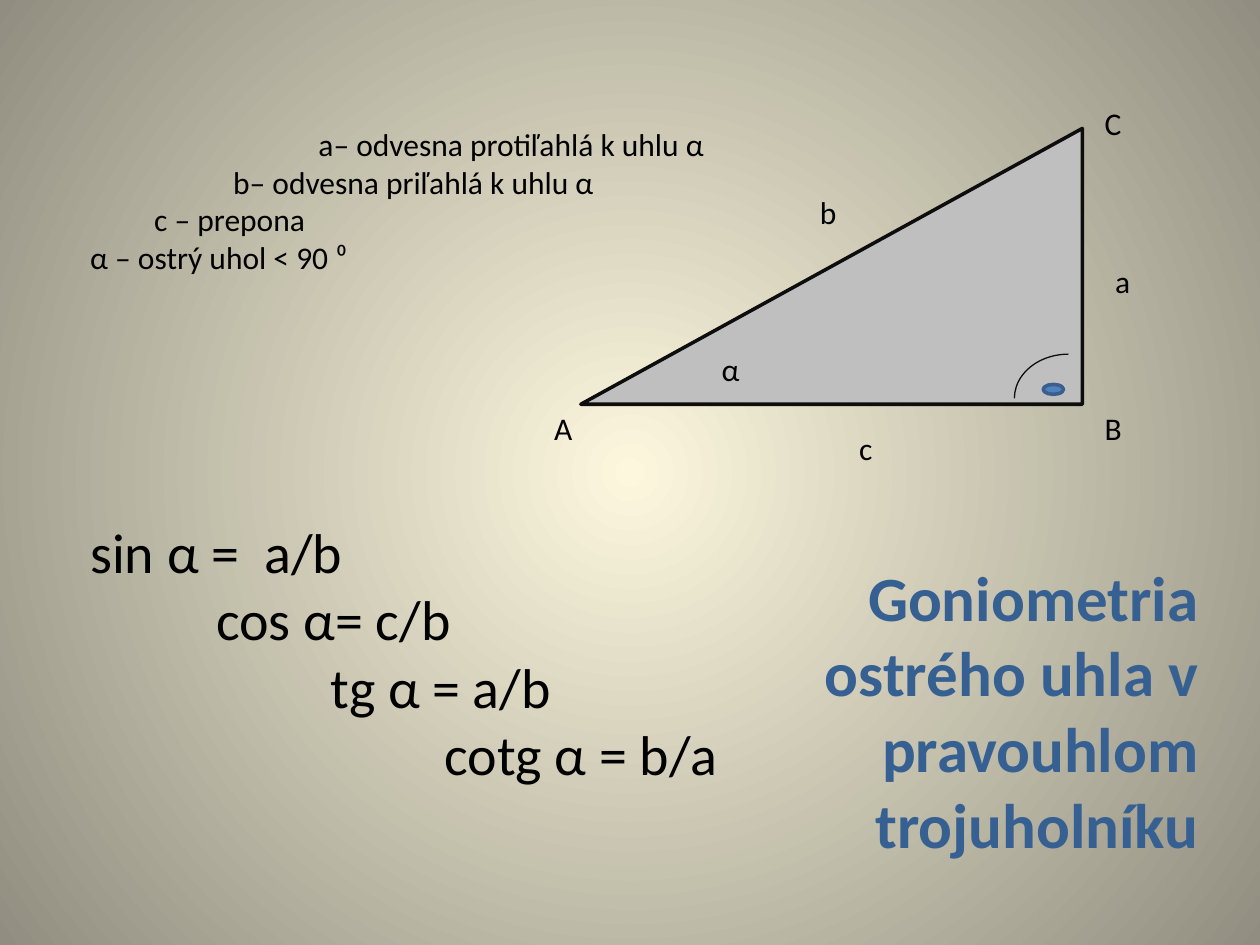
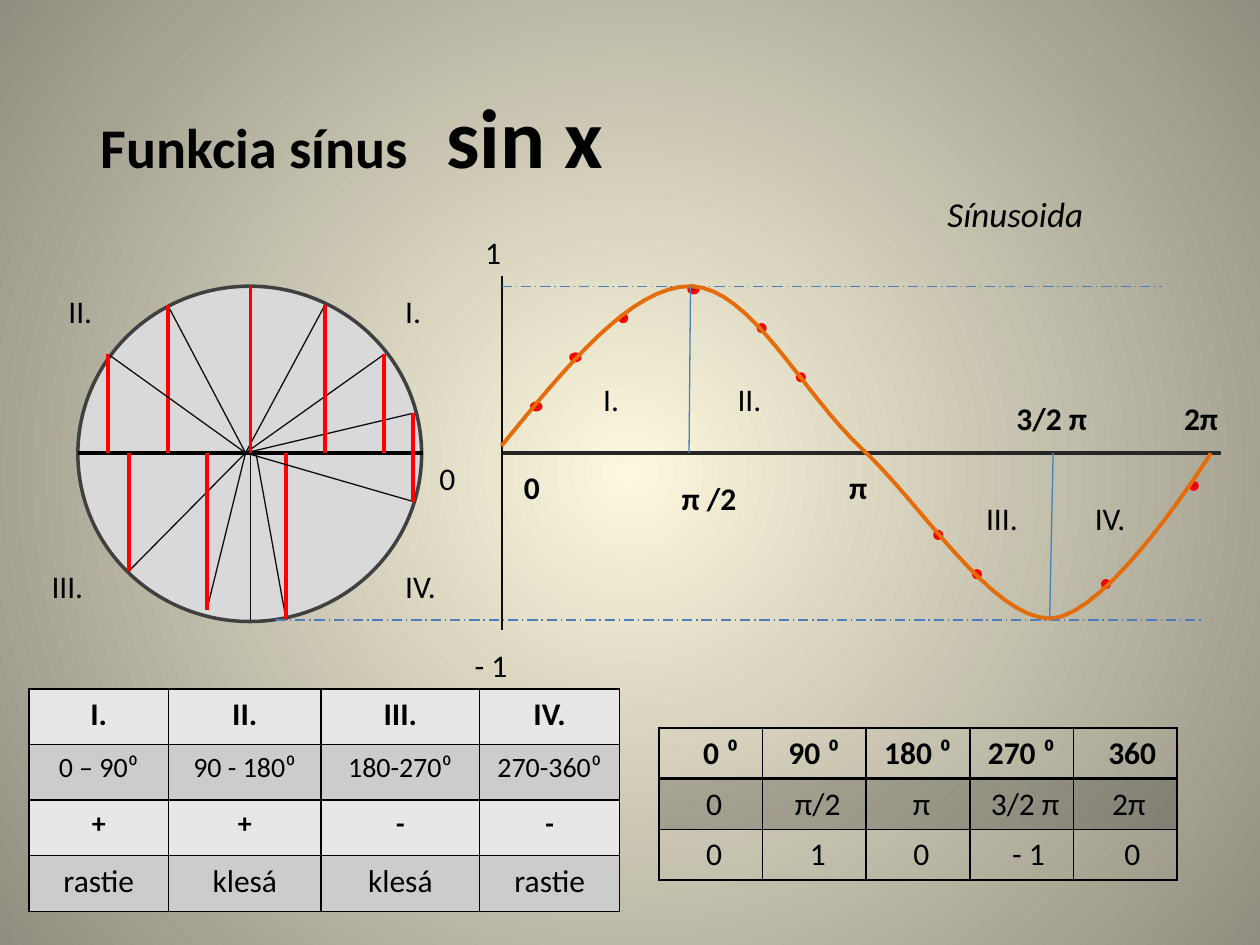
import lxml.etree
import pptx
import pptx.dml.color
import pptx.enum.dml
import pptx.enum.shapes
import pptx.enum.text
import pptx.oxml.ns
import pptx.util

Cm, Pt = pptx.util.Cm, pptx.util.Pt
SHAPE = pptx.enum.shapes.MSO_SHAPE
ALIGN = pptx.enum.text.PP_ALIGN
DASH = pptx.enum.dml.MSO_LINE.LONG_DASH_DOT
COLORS = {
    "black": "000000", "ink": "0D0D0D", "axis": "262626", "rim": "404040",
    "center": "FCF7DD", "edge": "918E81", "heading": "376092",
    "triangle": "BFBFBF", "circle": "D9D9D9", "blue": "4F81BD",
    "blue_rim": "3A5F8C", "guide": "4B7EBC", "red": "FF0000",
    "dot": "C00000", "curve": "E46C0A", "light": "E7E7E7", "dark": "CCCCCC",
}


def rgb(name):
    return pptx.dml.color.RGBColor.from_string(COLORS[name])


def sub(parent, tag, **attrs):
    return lxml.etree.SubElement(parent, pptx.oxml.ns.qn(tag), **attrs)


class Deck:
    font = {"name": "Calibri", "size": Pt(18), "bold": False, "italic": False}

    def __init__(self):
        self.prs = pptx.Presentation()
        self.prs.slide_width, self.prs.slide_height = Cm(25.4), Cm(19.05)
        self.s = None

    def slide(self):
        self.s = self.prs.slides.add_slide(self.prs.slide_layouts[6])
        fill = self.s.background.fill
        fill.gradient()
        for stop, name, position in zip(fill.gradient_stops, ("center", "edge"), (0, 1)):
            stop.color.rgb = rgb(name)
            stop.position = position
        grad = self.s.element.find(".//" + pptx.oxml.ns.qn("a:gradFill"))
        grad.remove(grad.find(pptx.oxml.ns.qn("a:lin")))
        radial = sub(grad, "a:path", path="circle")
        sub(radial, "a:fillToRect", l="50000", t="50000", r="50000", b="50000")

    def add_text(self, p, text, color="black", indent=0, tab=0, **fmt):
        pPr = p._p.get_or_add_pPr()
        if indent:
            pPr.set("marL", str(Cm(indent)))
            pPr.set("indent", "0")
        if tab:
            sub(sub(pPr, "a:tabLst"), "a:tab", pos=str(Cm(tab)), algn="l")
        r = p.add_run()
        r.text = text
        for key, value in {**self.font, **fmt}.items():
            setattr(r.font, key, value)
        r.font.color.rgb = rgb(color)

    def text(self, lines, x, y, w=1.6, h=1.02, align=ALIGN.LEFT, indents=(), **fmt):
        tf = self.s.shapes.add_textbox(Cm(x), Cm(y), Cm(w), Cm(h)).text_frame
        tf.word_wrap = True
        for i, line in enumerate(lines.split("\n")):
            p = tf.add_paragraph() if i else tf.paragraphs[0]
            p.alignment = align
            self.add_text(p, line, indent=indents[i] if indents else 0, **fmt)
        return tf

    def paint(self, sp, fill, line, width):
        sp.shadow.inherit = False
        if fill:
            sp.fill.solid()
            sp.fill.fore_color.rgb = rgb(fill)
        else:
            sp.fill.background()
        sp.line.color.rgb = rgb(line)
        sp.line.width = Pt(width)

    def shape(self, kind, x, y, w, h, fill, line, width=2, flip=False):
        sp = self.s.shapes.add_shape(kind, Cm(x), Cm(y), Cm(w), Cm(h))
        self.paint(sp, fill, line, width)
        if flip:
            sp._element.spPr.xfrm.set("flipH", "1")

    def line(self, x1, y1, x2, y2, color="ink", width=0.75, dash=None):
        c = self.s.shapes.add_connector(
            pptx.enum.shapes.MSO_CONNECTOR.STRAIGHT, Cm(x1), Cm(y1), Cm(x2), Cm(y2))
        c.line.color.rgb = rgb(color)
        c.line.width = Pt(width)
        if dash:
            c.line.dash_style = dash
        sub(c._element.spPr, "a:effectLst")

    def curve(self, start, segments, color, width, steps=16):
        points, p0 = [], start
        for p1, p2, p3 in segments:
            for i in range(1, steps + 1):
                t = i / steps
                u = 1 - t
                points.append(tuple(
                    Cm(u**3 * a + 3 * u * u * t * b + 3 * u * t * t * c + t**3 * d)
                    for a, b, c, d in zip(p0, p1, p2, p3)))
            p0 = p3
        builder = self.s.shapes.build_freeform(Cm(start[0]), Cm(start[1]))
        builder.add_line_segments(points, close=False)
        self.paint(builder.convert_to_shape(), None, color, width)

    def border(self, cell, widths):
        tcPr = cell._tc.get_or_add_tcPr()
        for i, (side, width) in enumerate(zip("LRTB", widths)):
            ln = sub(tcPr, "a:ln" + side, w=str(Pt(width)))
            sub(sub(ln, "a:solidFill"), "a:srgbClr", val=COLORS["black"])
            tcPr.insert(i, ln)

    def table(self, x, y, cols, row_height, rows, fills, formats,
              indents=None, alpha=None, header_line=1):
        tbl = self.s.shapes.add_table(
            len(rows), len(cols), Cm(x), Cm(y), Cm(sum(cols)),
            Cm(row_height * len(rows))).table
        tbl.first_row = tbl.horz_banding = False
        for col, width in zip(tbl.columns, cols):
            col.width = Cm(width)
        for i, values in enumerate(rows):
            tbl.rows[i].height = Cm(row_height)
            for j, value in enumerate(values):
                cell = tbl.cell(i, j)
                if fills[i]:
                    cell.fill.solid()
                    cell.fill.fore_color.rgb = rgb(fills[i])
                    if alpha:
                        clr = cell._tc.tcPr.find(".//" + pptx.oxml.ns.qn("a:srgbClr"))
                        sub(clr, "a:alpha", val=str(alpha * 1000))
                else:
                    cell.fill.background()
                self.border(cell, (1, 1, header_line if i == 1 else 1,
                                   header_line if i == 0 else 1))
                p = cell.text_frame.paragraphs[0]
                p.alignment = ALIGN.CENTER
                self.add_text(p, value, indent=indents[i][j] if indents else 0, **formats[i])


def triangle_slide(d):
    d.slide()
    d.text("Goniometria ostrého uhla v pravouhlom trojuholníku", 15.47, 11.13, 8.94, 6.4,
           ALIGN.RIGHT, color="heading", size=Pt(36), bold=True)
    d.text("sin α =\ta/b\ncos α= c/b\ntg α = a/b\ncotg α = b/a", 1.57, 10.31, 13.69, 5.74,
           indents=(0, 2.54, 4.84, 7.14), tab=3.51, size=Pt(32))
    d.shape(SHAPE.RIGHT_TRIANGLE, 11.71, 2.59, 10.11, 5.56, "triangle", "ink", flip=True)
    d.shape(SHAPE.ARC, 20.45, 7.14, 2.18, 1.78, None, "ink", 0.75, flip=True)
    d.text("a– odvesna protiľahlá k uhlu α\nb– odvesna priľahlá k uhlu α\n"
           "c – prepona\nα – ostrý uhol < 90 ⁰", 1.57, 2.39, 16.28, 3.33,
           indents=(4.6, 2.88, 1.29, 0))
    d.shape(SHAPE.OVAL, 21.03, 7.75, 0.41, 0.2, "blue", "blue_rim")
    for label, x, y in (("α", 14.3, 6.93), ("A", 10.92, 8.13), ("B", 22.02, 8.13),
                        ("C", 22.02, 1.98), ("b", 16.28, 3.76), ("c", 17.07, 8.53),
                        ("a", 22.23, 5.16)):
        d.text(label, x, y)


def sine_slide(d):
    axis, top, bottom = 9.13, 5.77, 12.5
    d.slide()
    tf = d.text("Funkcia sínus\t", 1.78, 1.57, 11.91, 2.31, tab=6.97, size=Pt(32), bold=True)
    d.add_text(tf.paragraphs[0], "sin x", size=Pt(48), bold=True)
    d.shape(SHAPE.OVAL, 1.57, top, 6.93, 6.76, "circle", "rim")
    d.line(10.11, axis, 24.61, axis, "axis", 2.25)
    d.line(1.57, axis, 8.53, axis, "black", 2.25)
    d.line(5.05, top, 5.05, bottom)
    d.line(10.12, 5.56, 10.12, 12.7)
    for x, y, start in ((8.33, 8.33, 4.95), (7.75, 7.14, 4.95), (6.55, 6.15, 4.95),
                        (3.38, 6.15, 4.95), (2.18, 7.14, 4.95), (2.6, 11.51, 4.95),
                        (4.17, 12.29, 4.95), (5.77, 12.5, 5.16), (8.33, 10.11, 4.95)):
        d.line(start, axis, x, y)
        d.line(x, axis, x, y, "red", 2.25)
    d.line(5.05, top, 5.05, axis, "red", 2.25)
    for x, y, w in ((10.72, 8.13, 0.18), (11.51, 7.14, 0.18), (12.5, 6.35, 0.13),
                    (13.89, 5.77, 0.18), (15.29, 6.55, 0.13), (16.08, 7.54, 0.13),
                    (18.85, 10.72, 0.13), (19.63, 11.51, 0.13), (22.23, 11.71, 0.13),
                    (24, 9.73, 0.13)):
        d.shape(SHAPE.OVAL, x, y, w, 0.13, "dot", "red")
    d.line(10.11, top, 23.42, top, "guide", dash=DASH)
    d.line(5.56, bottom, 24.21, bottom, "guide", dash=DASH)
    d.curve((10.11, 8.99), (
        ((11.43, 7.37), (12.73, 5.77), (13.92, 5.77)),
        ((15.14, 5.79), (16.18, 7.95), (17.4, 9.07)),
        ((18.59, 10.19), (19.99, 12.45), (21.16, 12.47)),
        ((22.33, 12.47), (24.41, 9.14), (24.41, 9.14))), "curve", 2.25)
    d.line(13.92, top, 13.89, axis, "guide")
    d.line(21.16, 12.47, 21.23, axis, "guide")
    for label, x, y in (("- 1", 9.32, 12.9), ("1", 9.53, 4.57), ("0", 8.61, 9.12),
                        ("I.", 7.92, 5.77), ("II.", 1.13, 5.77), ("III.", 0.79, 11.3),
                        ("IV.", 7.92, 11.3), ("I.", 11.91, 7.54), ("II.", 14.62, 7.54),
                        ("III.", 19.63, 9.93), ("IV.", 21.82, 9.93)):
        d.text(label, x, y)
    for label, x, y, w in (("0", 10.31, 9.32, 1.6), ("π /2", 13.49, 9.53, 2.2),
                           ("π", 16.87, 9.32, 1.6), ("3/2 π", 20.24, 7.92, 2.2),
                           ("2π", 23.62, 7.92, 1.6)):
        d.text(label, x, y, w, bold=True)
    d.table(13.28, 14.68, [2.09] * 5, 1.02,
            (("0 ⁰", "90 ⁰", "180 ⁰", "270 ⁰", "360"),
             ("0", "π/2", "π", "3/2 π", "2π"),
             ("0", "1", "0", "- 1", "0")),
            (None, "black", None), ({"bold": True}, {}, {}),
            indents=((0.42, 0, 0, 0, 0.28), [0.14] * 5, (0.14, 0.14, 0.14, 0.28, 0.28)),
            alpha=20, header_line=2)
    d.table(0.58, 13.89, (2.82, 3.07, 3.2, 2.82), 1.12,
            (("I.", "II.", "III.", "IV."),
             ("0 – 90⁰", "90 - 180⁰", "180-270⁰", "270-360⁰"),
             ("+", "+", "-", "-"),
             ("rastie", "klesá", "klesá", "rastie")),
            ("light", "dark") * 2,
            ({"bold": True}, {"size": Pt(16)}, {"size": Pt(16), "bold": True}, {}))
    d.text("Sínusoida", 18.85, 3.76, 5.16, 1.12, size=Pt(20), italic=True)


def main():
    d = Deck()
    triangle_slide(d)
    sine_slide(d)
    d.prs.save("out.pptx")


if __name__ == "__main__":
    main()
